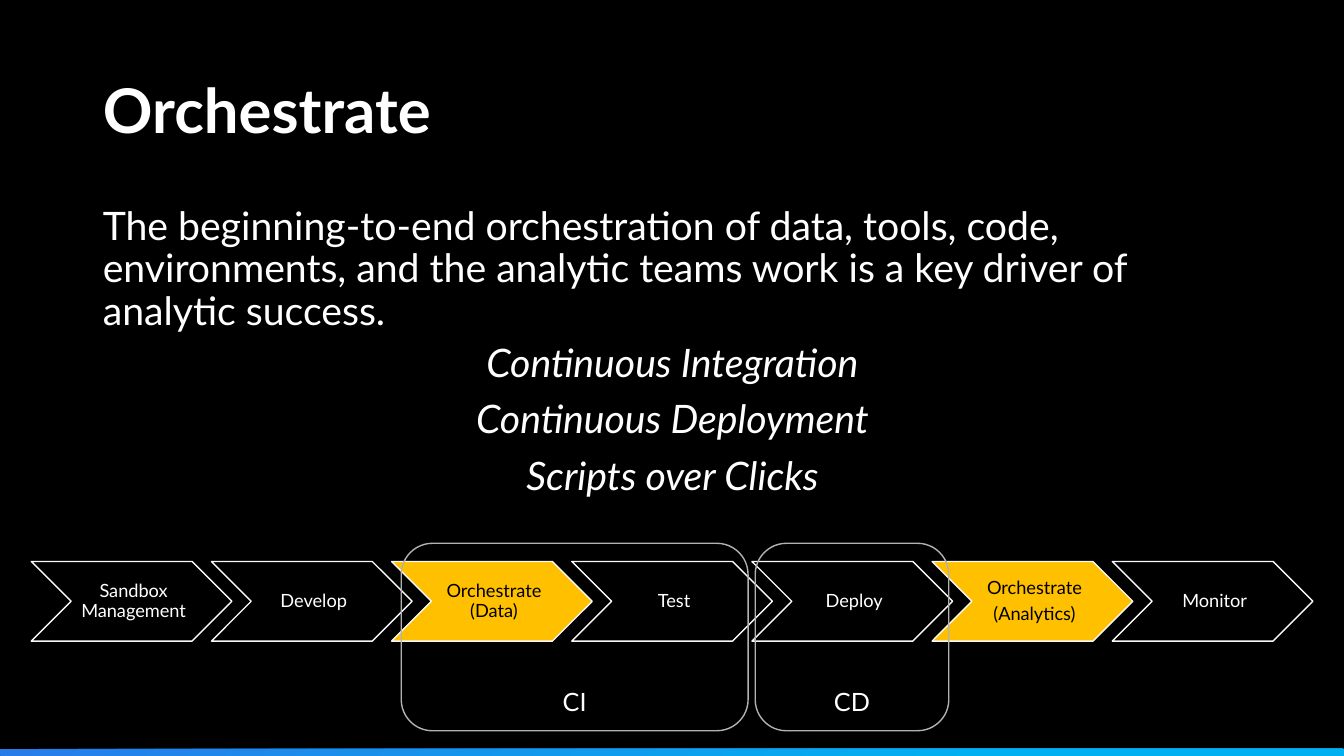
from pptx import Presentation
from pptx.dml.color import RGBColor
from pptx.enum.shapes import MSO_SHAPE
from pptx.enum.text import MSO_ANCHOR, MSO_AUTO_SIZE, PP_ALIGN
from pptx.oxml.ns import qn
from pptx.util import Inches, Pt

# Content
TITLE = "Orchestrate"
BODY = ("The beginning-to-end orchestration of data, tools, code, environments, "
        "and the analytic teams work is a key driver of analytic success.")
PRINCIPLES = ["Continuous Integration", "Continuous Deployment", "Scripts over Clicks"]
STEPS = [  # paragraphs, highlighted
    (["Sandbox Management"], False),
    (["Develop"], False),
    (["Orchestrate (Data)"], True),
    (["Test"], False),
    (["Deploy"], False),
    (["Orchestrate", "(Analytics)"], True),
    (["Monitor"], False),
]
STAGES = [("CI", 3.98, 3.44), ("CD", 7.49, 1.92)]  # label, left, width

# Formats
FONT = "Lato"
BLACK, WHITE, GOLD = "000000", "FFFFFF", "FFC000"
STEP_LINE, STAGE_LINE = "F8F8F8", "B2B2B2"
BAR_STOPS = [(0, "277CEA"), (0.74, "00B0F0")]
TITLE_FONT = {"size": Pt(44), "bold": True}
BODY_FONT = {"size": Pt(28)}
PRINCIPLE_FONT = {"size": Pt(28), "italic": True}
STEP_FONT = {"size": Pt(13)}
STAGE_FONT = {"size": Pt(18)}
STEP_INSETS = {"margin_left": Inches(0.06), "margin_right": Inches(0.02),
               "margin_top": Inches(0.02), "margin_bottom": Inches(0.02)}

# Layout
MARGIN, TEXT_W = 0.92, 11.5
STEP_LEFT, STEP_TOP, STEP_W, STEP_H, STEP_PITCH = 0.31, 5.57, 1.99, 0.79, 1.787
STAGE_TOP, STAGE_H = 5.39, 1.86


def rgb(value):
    return RGBColor.from_string(value)


def box(*lengths):
    return [Inches(v) for v in lengths]


def place(sp, *lengths):
    sp.left, sp.top, sp.width, sp.height = box(*lengths)


def write(sp, lines, font, align=PP_ALIGN.CENTER, anchor=MSO_ANCHOR.MIDDLE,
          color=WHITE, spacing=0.9, before=0, after=0, insets=None):
    tf = sp.text_frame
    frame = {"word_wrap": True, "auto_size": MSO_AUTO_SIZE.NONE,
             "vertical_anchor": anchor, **(insets or {})}
    for name, value in frame.items():
        setattr(tf, name, value)
    for i, line in enumerate(lines):
        p = tf.paragraphs[0] if i == 0 else tf.add_paragraph()
        layout = {"alignment": align, "line_spacing": spacing,
                  "space_before": Pt(before if i else 0), "space_after": Pt(after)}
        for name, value in layout.items():
            setattr(p, name, value)
        r = p.add_run()
        r.text = line
        for name, value in {"name": FONT, **font}.items():
            setattr(r.font, name, value)
        r.font.color.rgb = rgb(color)


def add_shape(kind, lengths, fill=None, line=None):
    sp = s.shapes.add_shape(kind, *box(*lengths))
    sp.shadow.inherit = False
    if fill:
        sp.fill.solid()
        sp.fill.fore_color.rgb = rgb(fill)
    else:
        sp.fill.background()
    if line:
        sp.line.color.rgb = rgb(line)
        sp.line.width = Pt(1)
    else:
        sp.line.fill.background()
    return sp


prs = Presentation()
prs.slide_width, prs.slide_height = box(13.33, 7.5)
s = prs.slides.add_slide(prs.slide_layouts[1])
s.background.fill.solid()
s.background.fill.fore_color.rgb = rgb(BLACK)

# Title and body
title, body = s.shapes.title, s.placeholders[1]
place(title, MARGIN, 0.4, TEXT_W, 1.45)
write(title, [TITLE], TITLE_FONT, align=PP_ALIGN.LEFT)
place(body, MARGIN, 2, TEXT_W, 2.19)
pPr = body.text_frame.paragraphs[0]._p.get_or_add_pPr()
pPr.set("marL", "0")
pPr.set("indent", "0")
pPr.append(pPr.makeelement(qn("a:buNone"), {}))
write(body, [BODY], BODY_FONT, align=PP_ALIGN.LEFT, anchor=MSO_ANCHOR.TOP)

# Gradient bar at the foot
bar = add_shape(MSO_SHAPE.ROUNDED_RECTANGLE, (0, 7.43, 13.33, 0.07))
bar.fill.gradient()
bar.fill.gradient_angle = 315
for stop, (position, color) in zip(bar.fill.gradient_stops, BAR_STOPS):
    stop.position = position
    stop.color.rgb = rgb(color)

# Principles
principles = s.shapes.add_textbox(*box(MARGIN, 3.36, TEXT_W, 1.65))
write(principles, PRINCIPLES, PRINCIPLE_FONT, anchor=MSO_ANCHOR.TOP, before=10)

# Process chevrons
for i, (lines, highlighted) in enumerate(STEPS):
    step = add_shape(MSO_SHAPE.CHEVRON,
                     (STEP_LEFT + i * STEP_PITCH, STEP_TOP, STEP_W, STEP_H),
                     GOLD if highlighted else BLACK, STEP_LINE)
    write(step, lines, STEP_FONT, color=BLACK if highlighted else WHITE,
          after=4.5, insets=STEP_INSETS)

# Stage outlines around the chevrons
for label, left, width in STAGES:
    stage = add_shape(MSO_SHAPE.ROUNDED_RECTANGLE,
                      (left, STAGE_TOP, width, STAGE_H), line=STAGE_LINE)
    write(stage, [label], STAGE_FONT, anchor=MSO_ANCHOR.BOTTOM, spacing=1.0)

prs.save("out.pptx")
